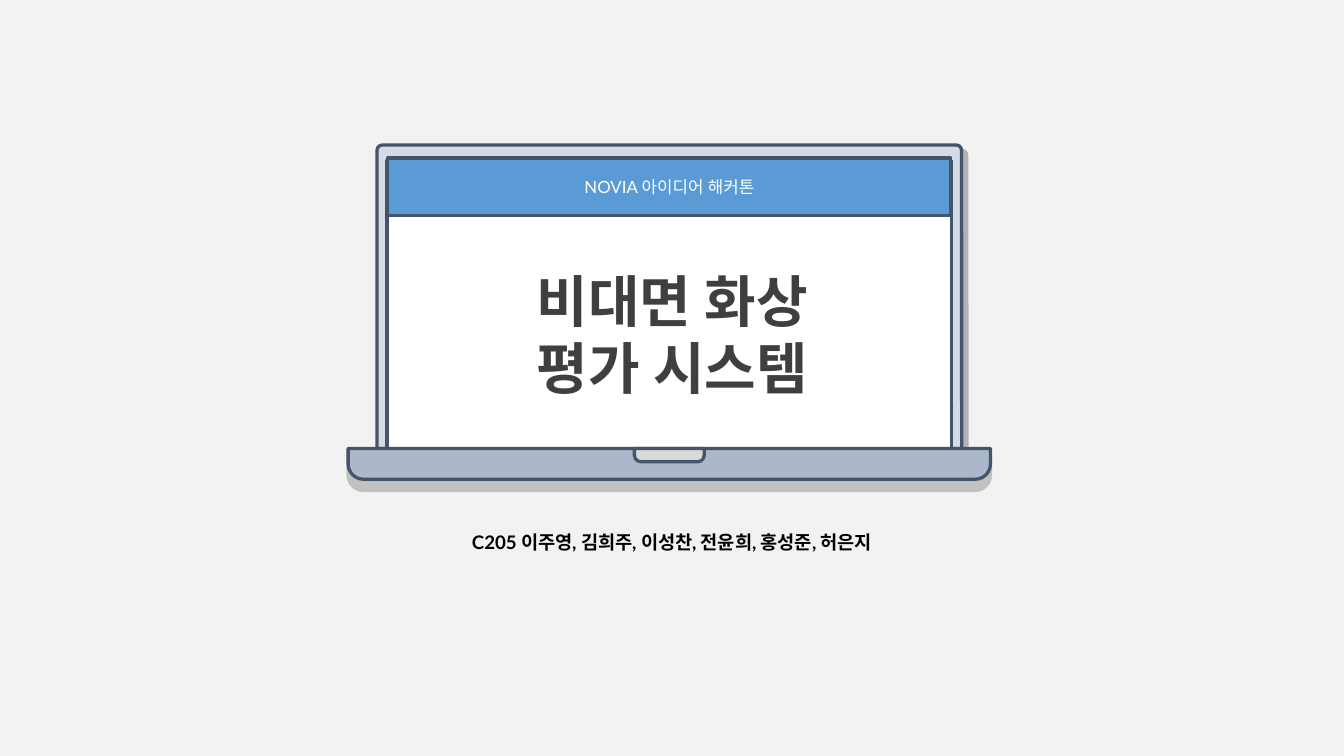
from lxml import etree
from pptx import Presentation
from pptx import util as u
from pptx.dml.color import RGBColor
from pptx.enum import shapes, text
from pptx.oxml import ns

COLORS = {
    "background": "F2F2F2", "outline": "44546A", "lid": "D5DBE5",
    "white": "FFFFFF", "base": "ACB8CA", "notch": "D8D8D8",
    "banner": "5B9BD5", "title": "3F3F3F", "black": "000000",
}
FONT = "Lato"
RECTANGLE = shapes.MSO_SHAPE.RECTANGLE
ROUNDED = shapes.MSO_SHAPE.ROUND_2_SAME_RECTANGLE


def color(name):
    return RGBColor.from_string(COLORS[name])


def write(shape, lines, size, color_name, bold=False, insets=(0.18, 0.1),
          anchor=text.MSO_ANCHOR.TOP):
    """Fill a shape with centred lines; insets are horizontal, vertical in cm."""
    frame = shape.text_frame
    frame.word_wrap = True
    frame.vertical_anchor = anchor
    frame.margin_left = frame.margin_right = u.Cm(insets[0])
    frame.margin_top = frame.margin_bottom = u.Cm(insets[1])
    for index, line in enumerate(lines):
        paragraph = frame.add_paragraph() if index else frame.paragraphs[0]
        paragraph.alignment = text.PP_ALIGN.CENTER
        run = paragraph.add_run()
        run.text = line
        run.font.name = FONT
        run.font.size = u.Pt(size)
        run.font.bold = bold
        run.font.color.rgb = color(color_name)
        east_asian = etree.SubElement(run.font._element, ns.qn("a:ea"))
        east_asian.set("typeface", FONT)
    return frame


def add_text_box(slide, left, top, width, height, lines, **style):
    box = slide.shapes.add_textbox(u.Cm(left), u.Cm(top), u.Cm(width), u.Cm(height))
    return write(box, lines, **style)


def add_panel(slide, kind, left, top, width, height, fill, corners=()):
    panel = slide.shapes.add_shape(
        kind, u.Cm(left), u.Cm(top), u.Cm(width), u.Cm(height))
    panel.shadow.inherit = False
    panel.fill.solid()
    panel.fill.fore_color.rgb = color(fill)
    panel.line.color.rgb = color("outline")
    panel.line.width = u.Pt(1.75)
    for index, corner in enumerate(corners):
        panel.adjustments[index] = corner
    return panel


def add_shadow(shape, distance, angle, opacity):
    """Distance in points, angle in degrees, opacity in percent."""
    effects = shape._element.spPr.find(ns.qn("a:effectLst"))
    shadow = etree.SubElement(
        effects, ns.qn("a:outerShdw"), dist=str(u.Pt(distance)),
        dir=str(angle * 60000), algn="tl", rotWithShape="0")
    tint = etree.SubElement(shadow, ns.qn("a:srgbClr"), val=COLORS["black"])
    etree.SubElement(tint, ns.qn("a:alpha"), val=str(opacity * 1000))


def add_laptop(slide, left, top, width, height):
    base_height = 0.58
    hinge = height - base_height

    def centred(kind, offset, part_width, part_height, fill, corners=()):
        return add_panel(slide, kind, left + (width - part_width) / 2,
                         top + offset, part_width, part_height, fill, corners)

    lid = centred(ROUNDED, 0, 11.05, hinge, "lid", (0.018, 0))
    add_shadow(lid, distance=4, angle=45, opacity=25)
    centred(RECTANGLE, 0.3, 10.67, hinge - 0.3, "white")
    base = centred(ROUNDED, hinge, width, base_height, "base", (0.018, 0.5))
    add_shadow(base, distance=6, angle=90, opacity=20)
    centred(ROUNDED, hinge, 1.32, 0.25, "notch", (0.018, 0.5))

    banner = centred(RECTANGLE, 0.25, 10.64, 1.09, "banner")
    write(banner, ["NOVIA 아이디어 해커톤"], size=9, color_name="white",
          anchor=text.MSO_ANCHOR.MIDDLE)
    add_text_box(slide, left + 0.53, top + 2.19, 11.2, 1.7,
                 ["비대면 화상", "평가 시스템"],
                 size=30, color_name="title", bold=True)


def add_team(slide, left, top, width, height):
    frame = add_text_box(
        slide, left, top, width, height,
        ["C205 이주영, 김희주, 이성찬, 전윤희, 홍성준, 허은지"],
        size=10, color_name="black", bold=True, insets=(0.25, 0.25))
    frame.auto_size = text.MSO_AUTO_SIZE.SHAPE_TO_FIT_TEXT


def main():
    presentation = Presentation()
    presentation.slide_width = u.Cm(25.4)
    presentation.slide_height = u.Cm(14.29)
    slide = presentation.slides.add_slide(presentation.slide_layouts[6])
    slide.background.fill.solid()
    slide.background.fill.fore_color.rgb = color("background")
    add_laptop(slide, 6.58, 2.74, 12.14, 6.32)
    add_team(slide, 8.33, 9.78, 8.74, 0.94)
    presentation.save("out.pptx")


if __name__ == "__main__":
    main()
